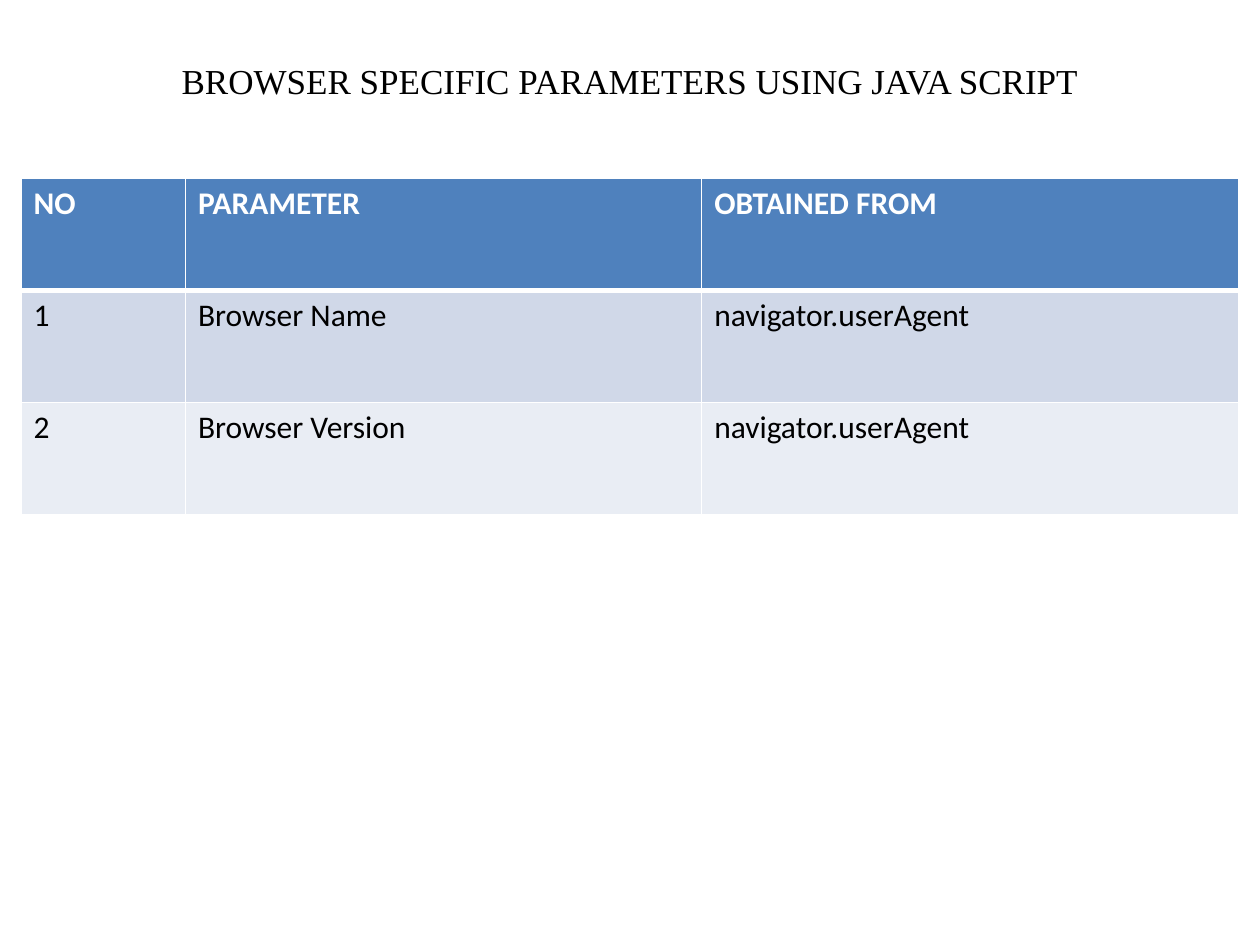
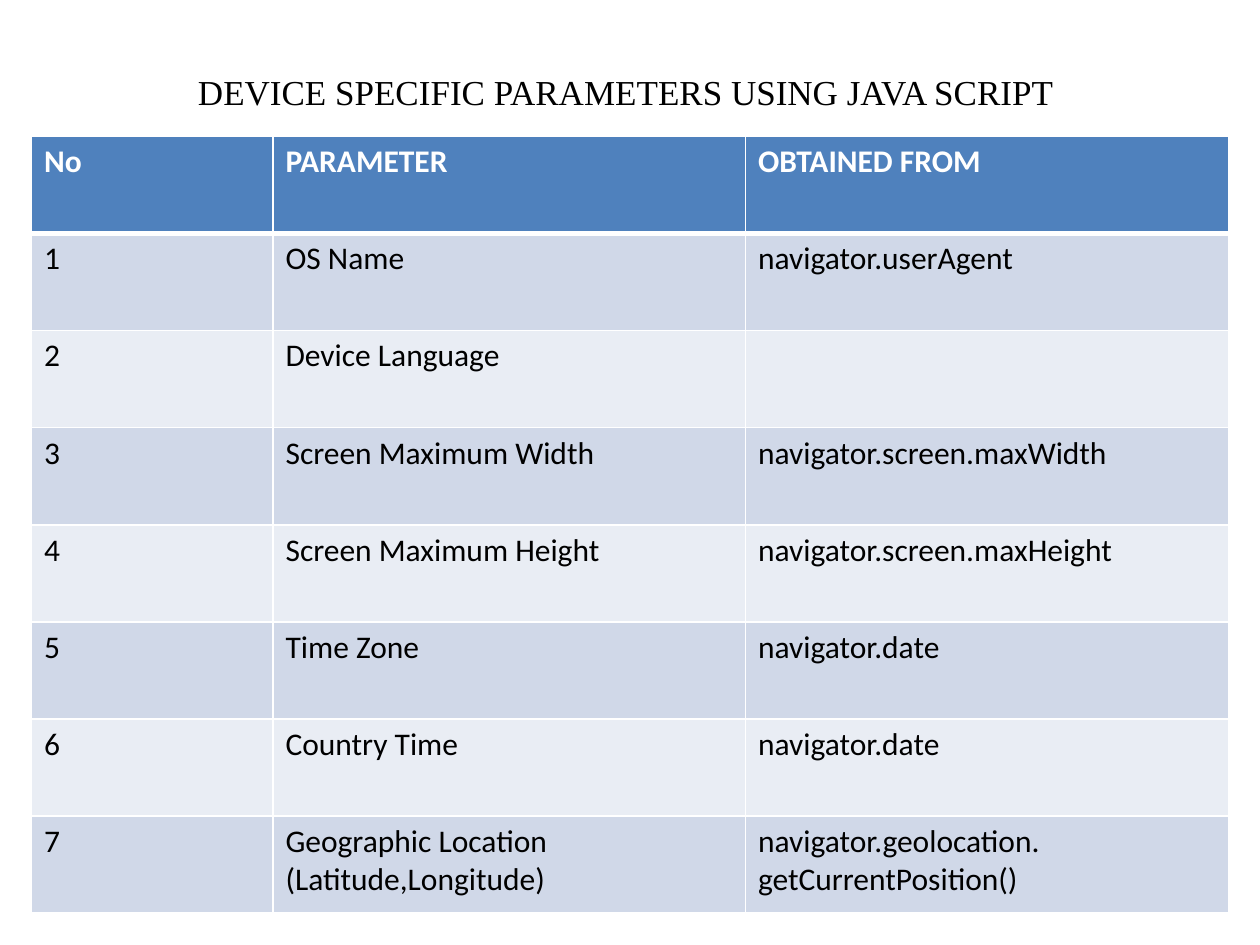
from lxml import etree
from pptx import Presentation
from pptx.dml.color import RGBColor
from pptx.enum.text import MSO_ANCHOR, MSO_AUTO_SIZE, PP_ALIGN
from pptx.oxml.ns import qn
from pptx.util import Pt

SLIDE_WIDTH, SLIDE_HEIGHT = 720, 540
TITLE_FONT, TABLE_FONT = "Times New Roman", "Calibri"
TITLE_SIZE, TABLE_SIZE = 20, 18
TITLE_HEIGHT = 32
BLACK, WHITE = "000000", "FFFFFF"
HEADER_FILL = "4F81BD"
BAND_FILLS = ("D0D8E8", "E9EDF4")
THIN, THICK = 1, 3

BROWSER_ROWS = [
    ("NO", "PARAMETER", "OBTAINED FROM"),
    ("1", "Browser Name", "navigator.userAgent"),
    ("2", "Browser Version", "navigator.userAgent"),
]
DEVICE_ROWS = [
    ("No", "PARAMETER", "OBTAINED FROM"),
    ("1", "OS Name", "navigator.userAgent"),
    ("2", "Device Language", ""),
    ("3", "Screen Maximum Width", "navigator.screen.maxWidth"),
    ("4", "Screen Maximum Height", "navigator.screen.maxHeight"),
    ("5", "Time Zone", "navigator.date"),
    ("6", "Country Time", "navigator.date"),
    ("7", "Geographic Location\n(Latitude,Longitude)",
     "navigator.geolocation.\ngetCurrentPosition()"),
]


def color(hex_string):
    return RGBColor.from_string(hex_string)


def add_run(paragraph, text, font_name, size, hex_color, bold=False):
    run = paragraph.add_run()
    run.text = text
    run.font.name = font_name
    run.font.size = Pt(size)
    run.font.bold = bold
    run.font.color.rgb = color(hex_color)


def set_title(slide, text, top):
    title = slide.shapes.title
    title.left, title.top = Pt(0), Pt(top)
    title.width, title.height = Pt(SLIDE_WIDTH), Pt(TITLE_HEIGHT)
    frame = title.text_frame
    frame.word_wrap = True
    frame.auto_size = MSO_AUTO_SIZE.NONE
    frame.vertical_anchor = MSO_ANCHOR.MIDDLE
    paragraph = frame.paragraphs[0]
    paragraph.alignment = PP_ALIGN.CENTER
    add_run(paragraph, text, TITLE_FONT, TITLE_SIZE, BLACK)


def set_borders(cell, top, bottom):
    """Draw white borders; the top and bottom widths are in points."""
    properties = cell._tc.get_or_add_tcPr()
    widths = {"a:lnL": THIN, "a:lnR": THIN, "a:lnT": top, "a:lnB": bottom}
    for position, (tag, width) in enumerate(widths.items()):
        line = etree.Element(qn(tag), w=str(Pt(width)))
        fill = etree.SubElement(line, qn("a:solidFill"))
        etree.SubElement(fill, qn("a:srgbClr"), val=WHITE)
        properties.insert(position, line)


def fill_cell(cell, text, row_index):
    is_header = row_index == 0
    cell.fill.solid()
    cell.fill.fore_color.rgb = color(
        HEADER_FILL if is_header else BAND_FILLS[(row_index - 1) % 2])
    set_borders(cell, top=THICK if row_index == 1 else THIN,
                bottom=THICK if is_header else THIN)
    frame = cell.text_frame
    for index, line in enumerate(text.split("\n")):
        paragraph = frame.add_paragraph() if index else frame.paragraphs[0]
        if line:
            add_run(paragraph, line, TABLE_FONT, TABLE_SIZE,
                    WHITE if is_header else BLACK, is_header)


def add_parameter_table(slide, rows, left, top, column_widths, row_height):
    table = slide.shapes.add_table(
        len(rows), len(column_widths), Pt(left), Pt(top),
        Pt(sum(column_widths)), Pt(row_height * len(rows))).table
    for column, width in zip(table.columns, column_widths):
        column.width = Pt(width)
    for row_index, texts in enumerate(rows):
        table.rows[row_index].height = Pt(row_height)
        for column_index, text in enumerate(texts):
            fill_cell(table.cell(row_index, column_index), text, row_index)


def add_parameter_slide(presentation, title, title_top, rows, **table_box):
    slide = presentation.slides.add_slide(presentation.slide_layouts[5])
    set_title(slide, title, title_top)
    add_parameter_table(slide, rows, **table_box)


def main():
    presentation = Presentation()
    presentation.slide_width = Pt(SLIDE_WIDTH)
    presentation.slide_height = Pt(SLIDE_HEIGHT)
    add_parameter_slide(
        presentation, "BROWSER SPECIFIC PARAMETERS USING JAVA SCRIPT", 30,
        BROWSER_ROWS, left=12, top=102,
        column_widths=(94, 295, 307), row_height=64)
    add_parameter_slide(
        presentation, "DEVICE SPECIFIC PARAMETERS USING JAVA SCRIPT ", 36,
        DEVICE_ROWS, left=18, top=78,
        column_widths=(138, 270, 276), row_height=55.5)
    presentation.save("out.pptx")


if __name__ == "__main__":
    main()
